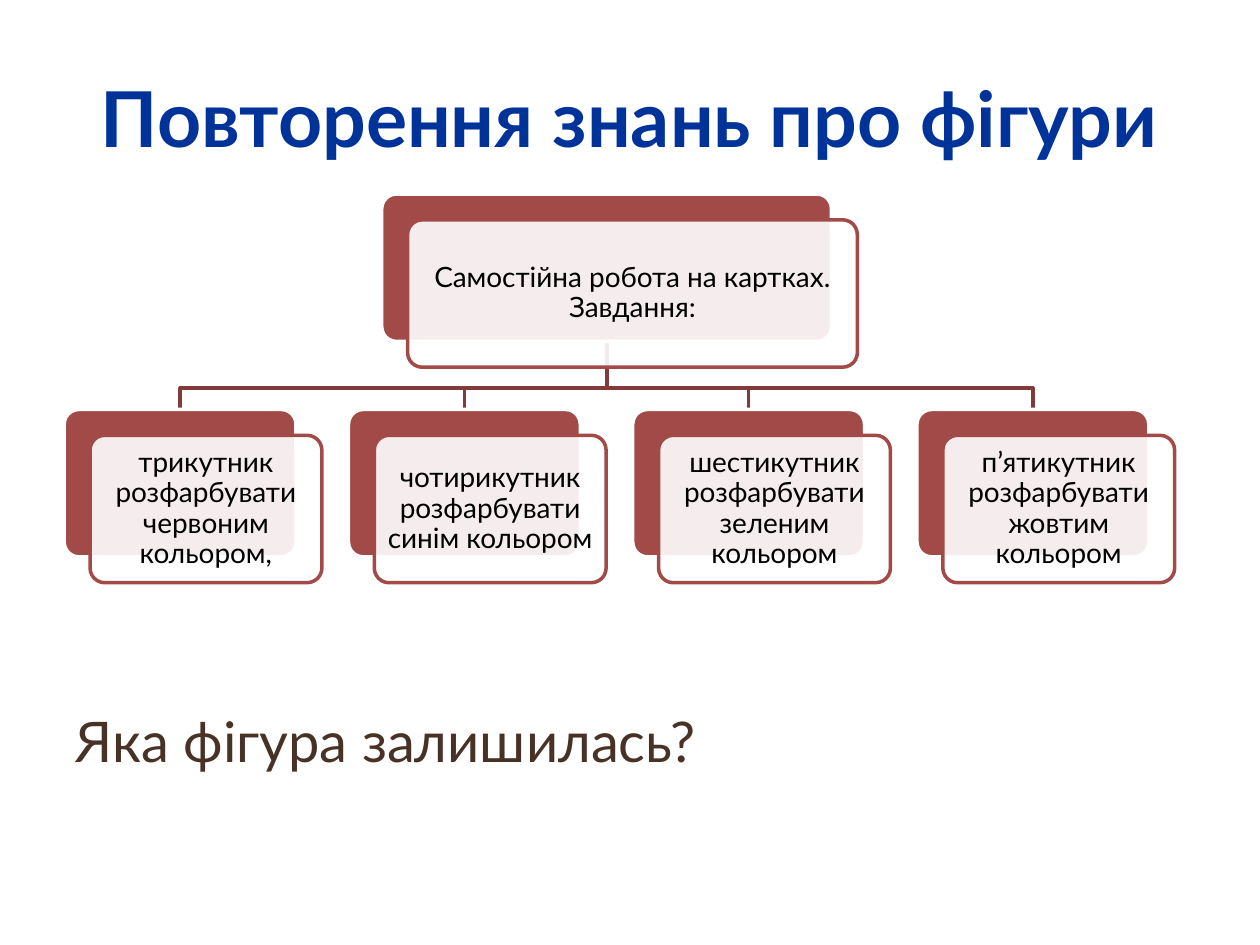
from lxml import etree
from pptx import Presentation
from pptx.dml.color import RGBColor
from pptx.enum.shapes import MSO_SHAPE
from pptx.enum.text import MSO_ANCHOR, PP_ALIGN
from pptx.oxml.ns import qn
from pptx.util import Inches, Pt

ROUND = MSO_SHAPE.ROUNDED_RECTANGLE
MIDDLE = MSO_ANCHOR.MIDDLE
LEFT, CENTER = PP_ALIGN.LEFT, PP_ALIGN.CENTER
RED, DARK, WHITE = "A24A48", "823B3A", "FFFFFF"


def color(code):
    return RGBColor.from_string(code)


def write(shape, text, size, ink, bold=False, align=CENTER, space=1.0):
    frame = shape.text_frame
    frame.word_wrap = True
    para = frame.paragraphs[0]
    para.text = text
    para.alignment = align
    para.line_spacing = space
    para.space_before = Pt(0)
    font = para.runs[0].font
    font.name = "Lato"
    font.size = Pt(size)
    font.bold = bold
    font.color.rgb = color(ink)


deck = Presentation()
deck.slide_width, deck.slide_height = Inches(10), Inches(7.5)
slide = deck.slides.add_slide(deck.slide_layouts[1])
shapes = slide.shapes

title, body = slide.placeholders
for holder, top, height in [(title, 0.3, 1.25), (body, 5.56, 1.14)]:
    holder.left, holder.top = Inches(0.5), Inches(top)
    holder.width, holder.height = Inches(9), Inches(height)

title.text_frame.vertical_anchor = MIDDLE
write(title, "Повторення знань про фігури", 44, "00339A", bold=True)

props = body.text_frame.paragraphs[0]._p.get_or_add_pPr()
props.set("marL", "0")
props.set("indent", "0")
etree.SubElement(props, qn("a:buNone"))
write(body, "Яка фігура залишилась?", 32, "483226", align=LEFT)

tasks = [
    "трикутник розфарбувати червоним кольором,",
    "чотирикутник розфарбувати синім кольором",
    "шестикутник розфарбувати зеленим кольором",
    "п’ятикутник розфарбувати жовтим кольором",
]
wide, high, step, shift = 1.84, 1.17, 2.256, 0.205
row = 3.25
cards = [(3.03, 1.54, 3.57, "Самостійна робота на картках. Завдання:")]
cards += [(0.51 + i * step, row, wide, task) for i, task in enumerate(tasks)]

root, base, bend = 4.82, 2.71, 3.08
for left, top, width, task in cards[:0:-1]:
    mid = left + width / 2
    points = [(root, bend), (mid, bend), (mid, row)]
    pen = shapes.build_freeform(Inches(root), Inches(base), scale=1.0)
    pen.add_line_segments([(Inches(x), Inches(y)) for x, y in points], close=False)
    line = pen.convert_to_shape()
    line.shadow.inherit = False
    line.fill.background()
    line.line.color.rgb = color(DARK)
    line.line.width = Pt(2)

for left, top, width, task in cards:
    for gap, fill, edge in [(0, RED, WHITE), (shift, WHITE, RED)]:
        card = shapes.add_shape(
            ROUND, Inches(left + gap), Inches(top + gap), Inches(width), Inches(high)
        )
        card.adjustments[0] = 0.1
        card.shadow.inherit = False
        card.fill.solid()
        card.fill.fore_color.rgb = color(fill)
        card.line.color.rgb = color(edge)
        card.line.width = Pt(2)
    tint = card.fill._xPr.find(qn("a:solidFill"))[0]
    etree.SubElement(tint, qn("a:alpha"), val="90000")
    frame = card.text_frame
    frame.vertical_anchor = MIDDLE
    frame.margin_left = frame.margin_right = Inches(0.07)
    frame.margin_top = frame.margin_bottom = Inches(0.07)
    write(card, task, 16, "000000", space=0.9)

deck.save("out.pptx")
